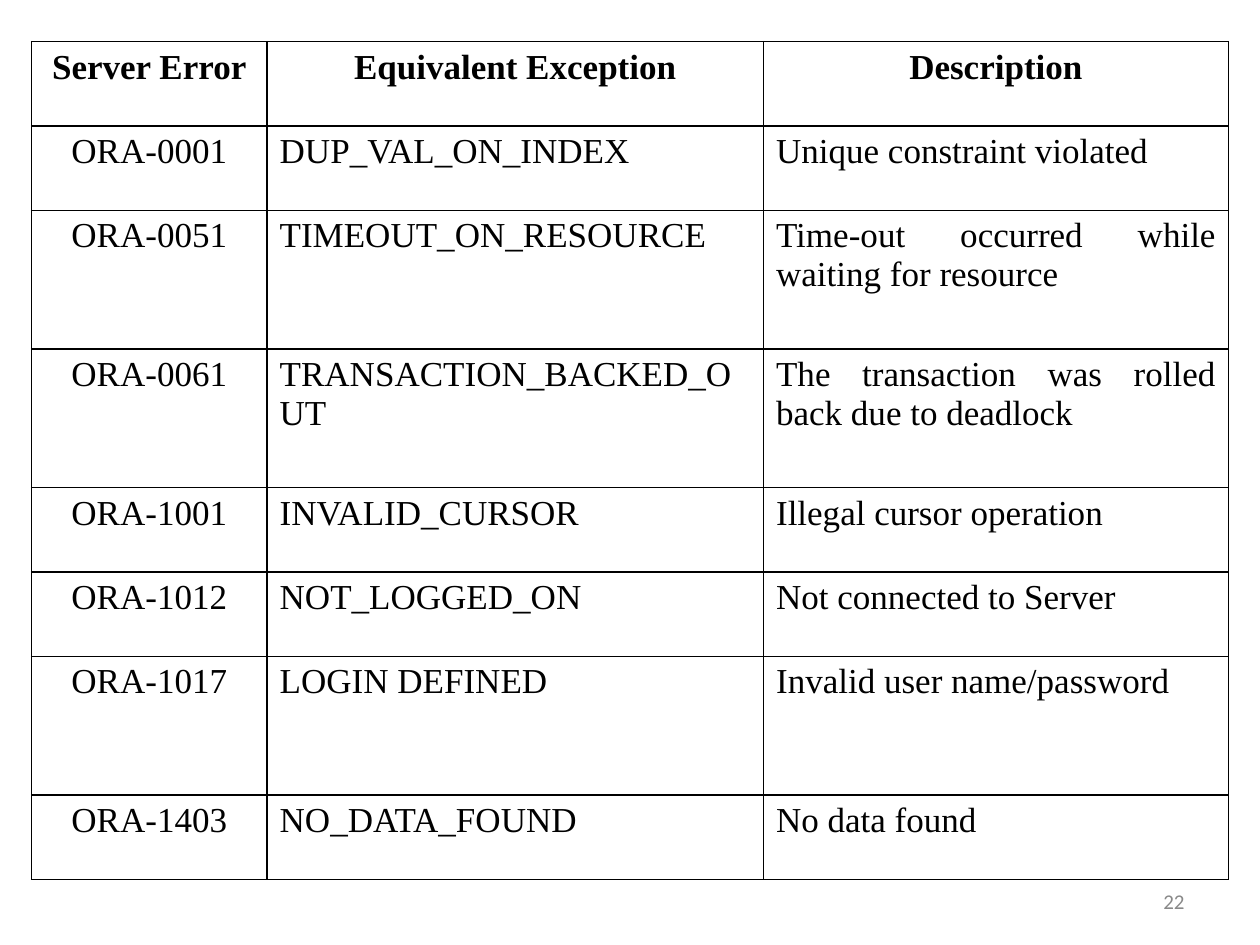
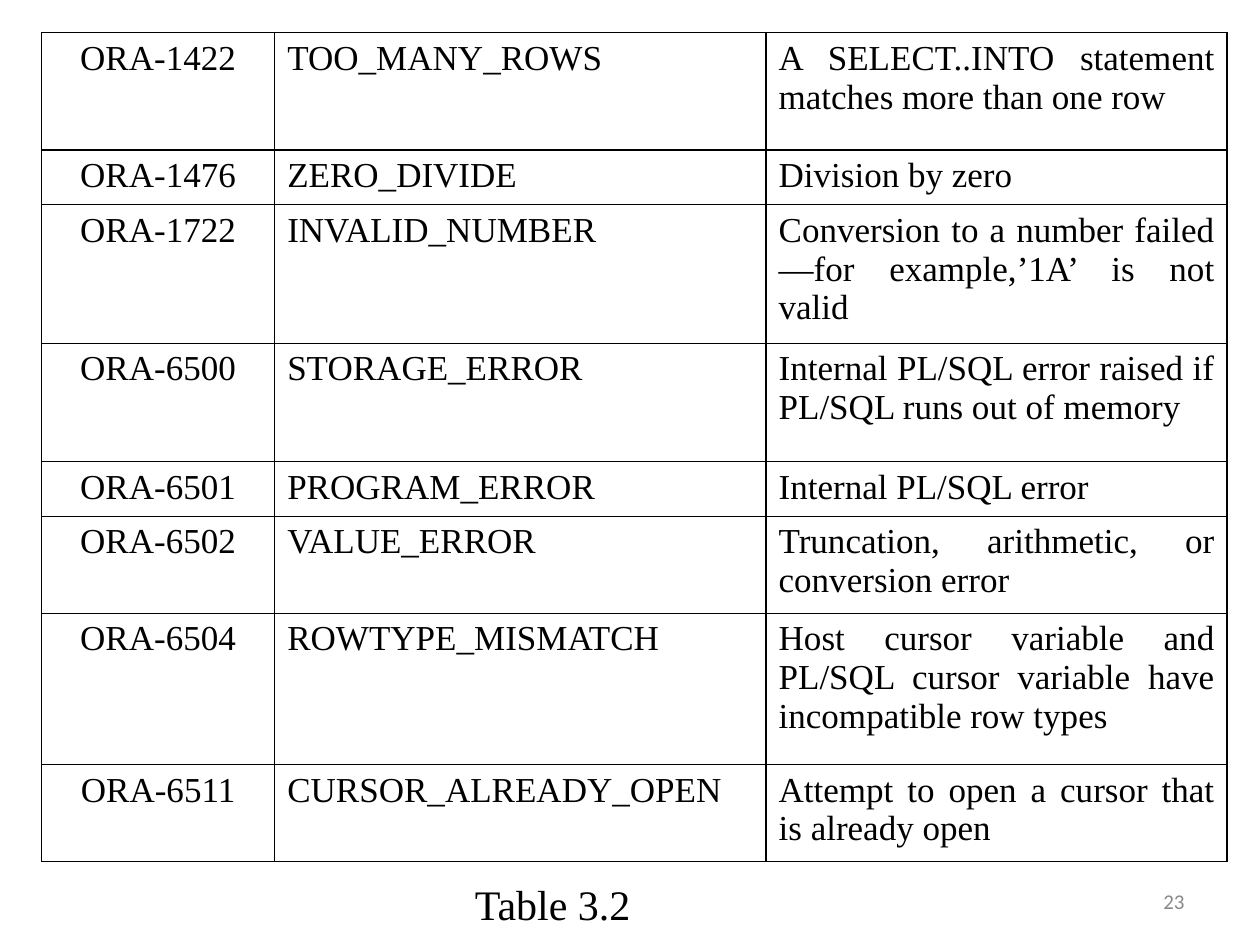
from lxml.etree import SubElement
from pptx import Presentation
from pptx.dml.color import RGBColor
from pptx.enum.text import MSO_ANCHOR as Anchor, PP_ALIGN as Align
from pptx.oxml import parse_xml
from pptx.oxml.ns import nsdecls, qn
from pptx.util import Inches, Pt

BLACK = RGBColor(0x00, 0x00, 0x00)
GREY = RGBColor(0x89, 0x89, 0x89)
SERIF, SANS = "Times New Roman", "Calibri"

BODY = {"name": SERIF, "size": Pt(20), "bold": False}
HEADER = {**BODY, "bold": True}
CAPTION = {"name": SERIF, "size": Pt(24)}
PAGE_NUMBER = {"name": SANS, "size": Pt(12)}

# Each row: error code, exception, description, height in inches
FIRST_HEADINGS = ("Server Error", "Equivalent Exception", "Description", 0.67)
FIRST_ERRORS = [
    ("ORA-0001", "DUP_VAL_ON_INDEX", "Unique constraint violated", 0.67),
    ("ORA-0051", "TIMEOUT_ON_RESOURCE",
     "Time-out occurred while waiting for resource", 1.1),
    ("ORA-0061", "TRANSACTION_BACKED_OUT",
     "The transaction was rolled back due to deadlock", 1.1),
    ("ORA-1001", "INVALID_CURSOR", "Illegal cursor operation", 0.67),
    ("ORA-1012", "NOT_LOGGED_ON", "Not connected to Server", 0.67),
    ("ORA-1017", "LOGIN DEFINED", "Invalid user name/password", 1.1),
    ("ORA-1403", "NO_DATA_FOUND", "No data found", 0.67),
]
SECOND_ERRORS = [
    ("ORA-1422", "TOO_MANY_ROWS",
     "A SELECT..INTO statement matches more than one row", 0.93),
    ("ORA-1476", "ZERO_DIVIDE", "Division by zero", 0.43),
    ("ORA-1722", "INVALID_NUMBER",
     "Conversion to a number failed—for example,’1A’ is not valid", 1.1),
    ("ORA-6500", "STORAGE_ERROR",
     "Internal PL/SQL error raised if PL/SQL runs out of memory", 0.94),
    ("ORA-6501", "PROGRAM_ERROR", "Internal PL/SQL error", 0.43),
    ("ORA-6502", "VALUE_ERROR", "Truncation, arithmetic, or conversion error", 0.77),
    ("ORA-6504", "ROWTYPE_MISMATCH",
     "Host cursor variable and PL/SQL cursor variable have incompatible row types", 1.2),
    ("ORA-6511", "CURSOR_ALREADY_OPEN",
     "Attempt to open a cursor that is already open", 0.77),
]


class ErrorDeck:
    """Holds the shared style and the slide being built."""

    def __init__(self):
        self.deck = Presentation()
        self.deck.slide_width, self.deck.slide_height = Inches(10), Inches(7.5)
        self.page = None

    def add_page(self, number):
        self.page = self.deck.slides.add_slide(self.deck.slide_layouts[6])
        self.add_text(str(number), (7.17, 6.95, 2.33, 0.4), PAGE_NUMBER, GREY,
                      Align.RIGHT, Anchor.MIDDLE)

    def fill_frame(self, frame, text, style, color, align):
        para = frame.paragraphs[0]
        para.alignment = align
        span = para.add_run()
        span.text = text
        for name, value in style.items():
            setattr(span.font, name, value)
        span.font.color.rgb = color

    def add_text(self, text, place, style, color, align=Align.LEFT, anchor=Anchor.TOP):
        box = self.page.shapes.add_textbox(*map(Inches, place))
        frame = box.text_frame
        frame.word_wrap = True
        frame.vertical_anchor = anchor
        self.fill_frame(frame, text, style, color, align)

    def add_borders(self, cell):
        properties = cell._tc.get_or_add_tcPr()
        for position, side in enumerate("LRTB"):
            line = parse_xml(f'<a:ln{side} {nsdecls("a")} w="{Pt(1)}"/>')
            fill = SubElement(line, qn("a:solidFill"))
            SubElement(fill, qn("a:srgbClr"), val=str(BLACK))
            properties.insert(position, line)

    def add_error_table(self, left, top, widths, errors, headings=None):
        rows = ([headings] if headings else []) + errors
        heights = [row[-1] for row in rows]
        table = self.page.shapes.add_table(
            len(rows), len(widths), Inches(left), Inches(top),
            Inches(sum(widths)), Inches(sum(heights))).table
        table.first_row = table.horz_banding = False
        for column, width in zip(table.columns, widths):
            column.width = Inches(width)
        for table_row, row in zip(table.rows, rows):
            table_row.height = Inches(row[-1])
            is_header = row is headings
            for index, (cell, text) in enumerate(zip(table_row.cells, row)):
                centred = is_header or index == 0
                cell.fill.background()
                self.add_borders(cell)
                self.fill_frame(cell.text_frame, text, HEADER if is_header else BODY,
                                BLACK, Align.CENTER if centred else Align.JUSTIFY)


def main():
    builder = ErrorDeck()

    # Errors 0001 to 1403
    builder.add_page(22)
    builder.add_error_table(0.25, 0.33, (1.87, 3.94, 3.69), FIRST_ERRORS, FIRST_HEADINGS)

    # Errors 1422 to 6511, with the table caption
    builder.add_page(23)
    builder.add_error_table(0.33, 0.26, (1.85, 3.9, 3.66), SECOND_ERRORS)
    builder.add_text("Table 3.2", (3.67, 6.92, 1.83, 0.51), CAPTION, BLACK)

    builder.deck.save("out.pptx")


if __name__ == "__main__":
    main()
